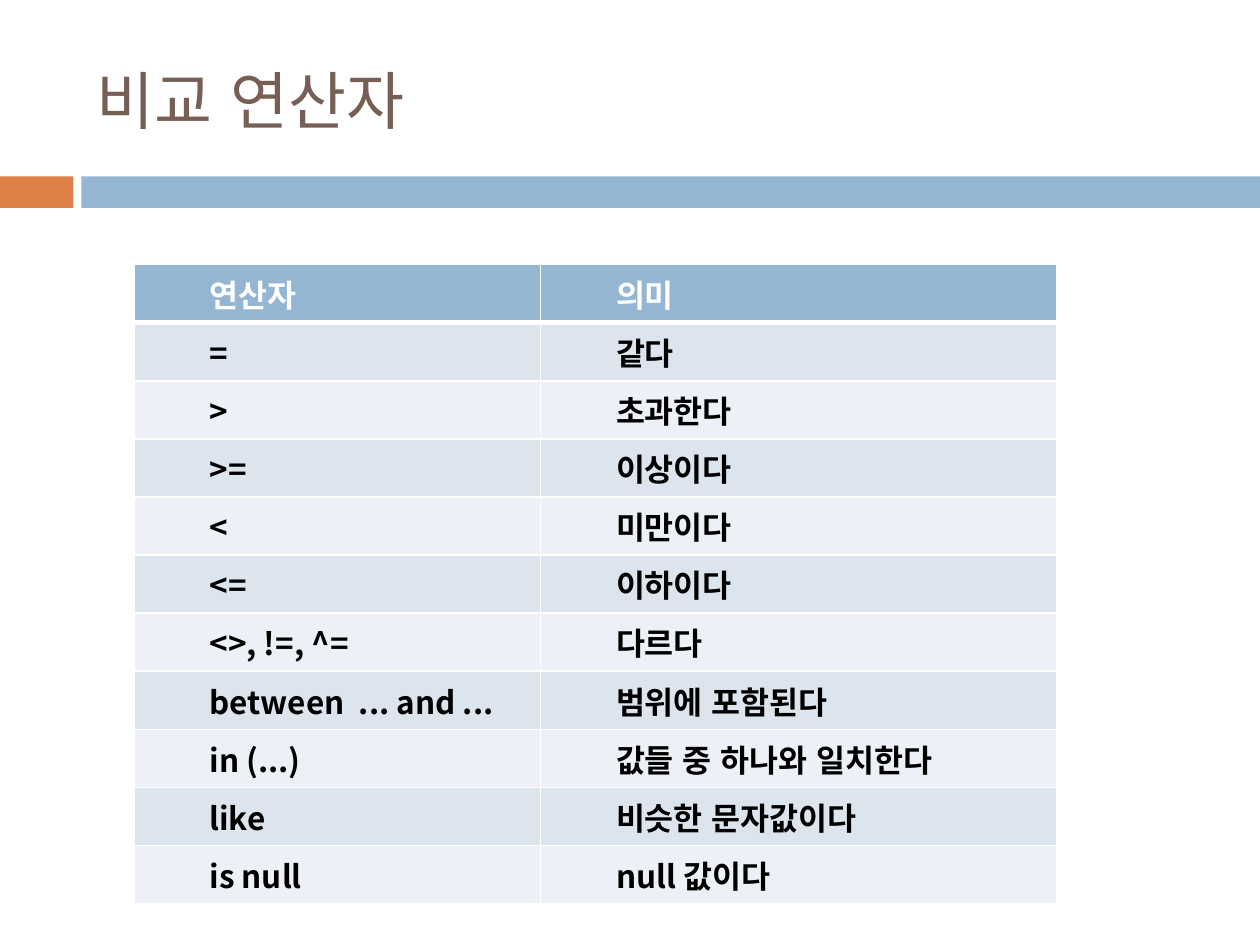
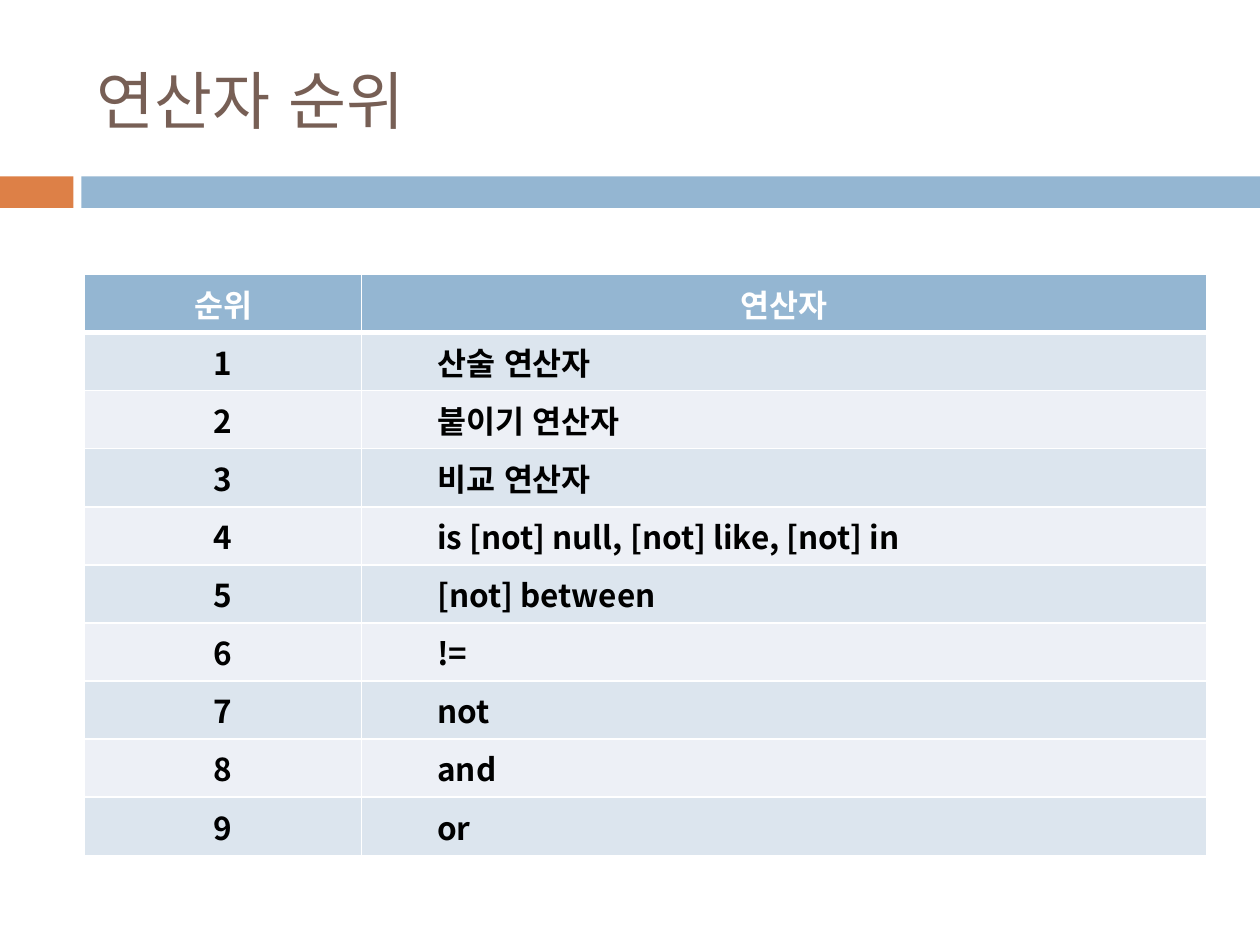
import pptx
import pptx.dml.color
import pptx.enum.lang
import pptx.enum.shapes
import pptx.enum.text
import pptx.oxml.ns
import pptx.util
from lxml import etree

Pt = pptx.util.Pt
CENTER = pptx.enum.text.PP_ALIGN.CENTER
FONT = "Noto Sans CJK KR"
WHITE, BLACK, BROWN = "FFFFFF", "000000", "775F55"
ORANGE, BLUE = "DD8047", "94B6D2"
ROW_FILLS = ("DCE5EE", "EDF0F6")
TITLE_BOX = (48.24, 18, 642.24, 77.76)
BAND_BOX = (0, 100.8, 720, 18)
INDENT = 36
ROW_HEIGHT = 33.2

COMPARISONS = [
    ("연산자", "의미"),
    ("=", "같다"),
    (">", "초과한다"),
    (">=", "이상이다"),
    ("<", "미만이다"),
    ("<=", "이하이다"),
    ("<>, !=, ^=", "다르다"),
    ("between  ... and ...", "범위에 포함된다"),
    ("in (...)", "값들 중 하나와 일치한다"),
    ("like", "비슷한 문자값이다"),
    ("is null", "null 값이다"),
]
PRIORITIES = ["산술 연산자", "붙이기 연산자", "비교 연산자",
              "is [not] null, [not] like, [not] in", "[not] between",
              "!=", "not", "and", "or"]


def rgb(color):
    return pptx.dml.color.RGBColor.from_string(color)


def fill_solid(fill, color):
    fill.solid()
    fill.fore_color.rgb = rgb(color)


def add_run(p, text, size, color, bold=False):
    r = p.add_run()
    r.text = text
    r.font.name = FONT
    r.font.size = Pt(size)
    r.font.bold = bold
    r.font.language_id = pptx.enum.lang.MSO_LANGUAGE_ID.KOREAN
    r.font.color.rgb = rgb(color)
    ea = etree.SubElement(r.font._element, pptx.oxml.ns.qn("a:ea"))
    ea.set("typeface", FONT)


def add_title(slide, box, text):
    sp = slide.shapes.add_textbox(*map(Pt, box))
    tf = sp.text_frame
    tf.word_wrap = True
    tf.vertical_anchor = pptx.enum.text.MSO_ANCHOR.MIDDLE
    add_run(tf.paragraphs[0], text, 36, BROWN)


def add_band(slide, box, tab=42, gap=4.5):
    """Draw a short orange tab and a blue bar across the box."""
    left, top, width, height = box
    bar = tab + gap
    for x, w, color in ((left, tab, ORANGE), (left + bar, width - bar, BLUE)):
        sp = slide.shapes.add_shape(pptx.enum.shapes.MSO_SHAPE.RECTANGLE,
                                    Pt(x), Pt(top), Pt(w), Pt(height))
        sp.shadow.inherit = False
        fill_solid(sp.fill, color)
        sp.line.fill.background()


def set_borders(cell, top, bottom):
    tcPr = cell._tc.get_or_add_tcPr()
    for side, width in (("L", 1), ("R", 1), ("T", top), ("B", bottom)):
        ln = etree.SubElement(tcPr, pptx.oxml.ns.qn(f"a:ln{side}"), w=str(Pt(width)))
        fill = etree.SubElement(ln, pptx.oxml.ns.qn("a:solidFill"))
        etree.SubElement(fill, pptx.oxml.ns.qn("a:srgbClr"), val=WHITE)


def add_table(slide, left, top, col_widths, rows, is_centered):
    """is_centered(row, col) chooses centring over the left indent."""
    size = sum(col_widths), ROW_HEIGHT * len(rows)
    table = slide.shapes.add_table(len(rows), len(col_widths),
                                   *map(Pt, (left, top, *size))).table
    for col, w in zip(table.columns, col_widths):
        col.width = Pt(w)
    for i, row in enumerate(rows):
        table.rows[i].height = Pt(ROW_HEIGHT)
        for j, text in enumerate(row):
            cell = table.cell(i, j)
            set_borders(cell, 3 if i == 1 else 1, 3 if i == 0 else 1)
            fill_solid(cell.fill, ROW_FILLS[(i - 1) % 2] if i else BLUE)
            p = cell.text_frame.paragraphs[0]
            if is_centered(i, j):
                p.alignment = CENTER
            else:
                p.level = 1
                p._p.get_or_add_pPr().set("marL", str(Pt(INDENT)))
                p._p.get_or_add_pPr().set("indent", "0")
            add_run(p, text, 18, BLACK if i else WHITE, bold=True)


def add_table_slide(prs, title, left, top, col_widths, rows, is_centered):
    s = prs.slides.add_slide(prs.slide_layouts[6])
    add_band(s, BAND_BOX)
    add_title(s, TITLE_BOX, title)
    add_table(s, left, top, col_widths, rows, is_centered)


def main():
    prs = pptx.Presentation()
    prs.slide_width, prs.slide_height = Pt(720), Pt(540)
    add_table_slide(prs, "비교 연산자", 76.5, 151.2, (232.3, 295),
                    COMPARISONS, lambda row, col: False)
    ranked = [("순위", "연산자")]
    ranked += [(str(n), text) for n, text in enumerate(PRIORITIES, 1)]
    add_table_slide(prs, "연산자 순위", 48.24, 156.8, (158.4, 483.2),
                    ranked, lambda row, col: row == 0 or col == 0)
    prs.save("out.pptx")


if __name__ == "__main__":
    main()
